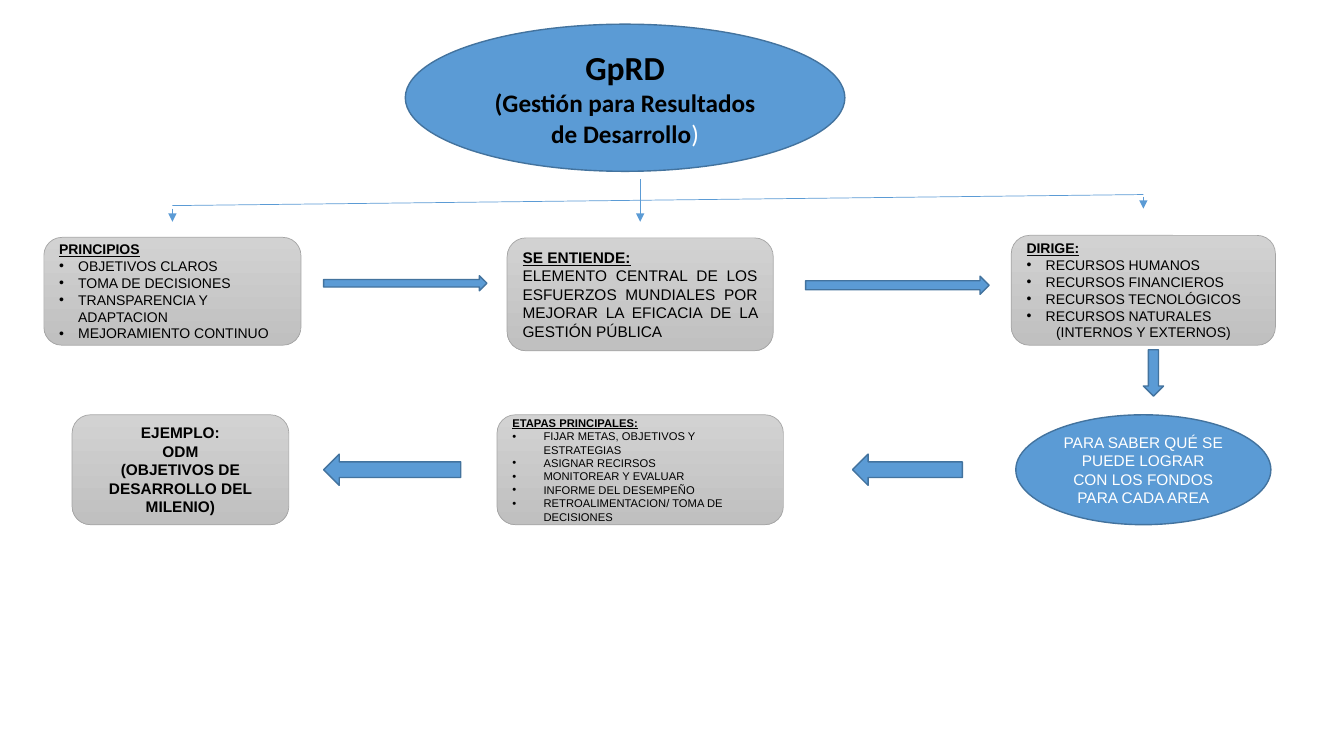
import pptx
import pptx.dml.color
import pptx.enum.shapes
import pptx.enum.text
import pptx.oxml.ns
import pptx.util
from lxml import etree

Inches, Pt = pptx.util.Inches, pptx.util.Pt
RGBColor = pptx.dml.color.RGBColor
Shapes = pptx.enum.shapes.MSO_SHAPE
Align = pptx.enum.text.PP_ALIGN
qn = pptx.oxml.ns.qn

COLORS = {"blue": "5B9BD5", "blue edge": "43739E", "gray top": "D2D2D2",
          "gray bottom": "C0C0C0", "gray edge": "A5A5A5",
          "black": "000000", "white": "FFFFFF"}

# Grid: centres of the columns and rows, in inches
COLUMNS = {"left": 1.71, "left gap": 4.02, "middle": 6.35,
           "right gap": 8.9, "right": 11.34}
ROWS = {"title": 0.97, "branches": 2.2, "top": 2.89, "between": 3.7, "bottom": 4.66}

presentation = pptx.Presentation()
presentation.slide_width = Inches(13.33)
presentation.slide_height = Inches(7.5)
slide = presentation.slides.add_slide(presentation.slide_layouts[6])


def color(name):
    return RGBColor.from_string(COLORS[name])


def add_part(kind, column, row, width, height, shift=(0, 0)):
    """Add a shape centred on a grid cell, moved by a small shift."""
    left = COLUMNS[column] + shift[0] - width / 2
    top = ROWS[row] + shift[1] - height / 2
    shape = slide.shapes.add_shape(kind, Inches(left), Inches(top),
                                   Inches(width), Inches(height))
    shape.shadow.inherit = False
    if kind == Shapes.ROUNDED_RECTANGLE:
        shape.fill.gradient()
        shape.fill.gradient_angle = 270
        for stop, name in zip(shape.fill.gradient_stops, ("gray top", "gray bottom")):
            stop.color.rgb = color(name)
        shape.line.color.rgb = color("gray edge")
        shape.line.width = Pt(0.5)
    else:
        shape.fill.solid()
        shape.fill.fore_color.rgb = color("blue")
        shape.line.color.rgb = color("blue edge")
        shape.line.width = Pt(1)
    return shape


# Title ellipse
title = add_part(Shapes.OVAL, "middle", "title", 4.36, 1.46, (-0.15, 0))
title.text_frame.text = "GpRD\n(Gestión para Resultados de Desarrollo"
title.text_frame.paragraphs[1].add_run().text = ")"
for paragraph, size in zip(title.text_frame.paragraphs, (24, 18)):
    paragraph.alignment = Align.CENTER
    for run in paragraph.runs:
        closing = run.text == ")"
        run.font.name = "Calibri"
        run.font.size = Pt(size)
        run.font.bold = not closing
        run.font.color.rgb = color("white" if closing else "black")

# Concept boxes: kind, column, row, width, height, shift, size, text colour,
# alignment, bullet indent, heading lines, body lines, closing lines
BOX, OVAL = Shapes.ROUNDED_RECTANGLE, Shapes.OVAL
concepts = [
    (BOX, "left", "top", 2.55, 1.07, (0, 0), 10, "black", Align.LEFT, 0.19,
     ["PRINCIPIOS"],
     ["OBJETIVOS CLAROS", "TOMA DE DECISIONES", "TRANSPARENCIA Y ADAPTACION",
      "MEJORAMIENTO CONTINUO"], []),
    (BOX, "middle", "top", 2.64, 1.12, (0, 0.03), 11, "black", Align.JUSTIFY, 0,
     ["SE ENTIENDE:"],
     ["ELEMENTO CENTRAL DE LOS ESFUERZOS MUNDIALES POR MEJORAR LA EFICACIA "
      "DE LA GESTIÓN PÚBLICA"], []),
    (BOX, "right", "top", 2.62, 1.09, (0, -0.01), 10, "black", Align.LEFT, 0.19,
     ["DIRIGE:"],
     ["RECURSOS HUMANOS", "RECURSOS FINANCIEROS", "RECURSOS TECNOLÓGICOS",
      "RECURSOS NATURALES"], ["(INTERNOS Y EXTERNOS)"]),
    (OVAL, "right", "bottom", 2.53, 1.09, (0, 0), 11, "white", Align.CENTER, 0, [],
     ["PARA SABER QUÉ SE PUEDE LOGRAR CON LOS FONDOS PARA CADA AREA"], []),
    (BOX, "middle", "bottom", 2.84, 1.09, (0, 0), 8, "black", Align.LEFT, 0.31,
     ["ETAPAS PRINCIPALES:"],
     ["FIJAR METAS, OBJETIVOS Y ESTRATEGIAS", "ASIGNAR RECIRSOS",
      "MONITOREAR Y EVALUAR", "INFORME DEL DESEMPEÑO",
      "RETROALIMENTACION/ TOMA DE DECISIONES"], []),
    (BOX, "left", "bottom", 2.15, 1.09, (0.08, 0), 11, "black", Align.CENTER, 0,
     ["EJEMPLO:", "ODM", "(OBJETIVOS DE DESARROLLO DEL MILENIO)"], [], []),
]
for (kind, column, row, width, height, shift, size, text_color, alignment,
     indent, heading, body, closing) in concepts:
    shape = add_part(kind, column, row, width, height, shift)
    shape.text_frame.text = "\n".join(heading + body + closing)
    body_end = len(heading) + len(body)
    for index, paragraph in enumerate(shape.text_frame.paragraphs):
        is_heading = index < len(heading)
        paragraph.alignment = Align.CENTER if index >= body_end else alignment
        if indent and len(heading) <= index < body_end:
            properties = paragraph._p.get_or_add_pPr()
            properties.set("marL", str(Inches(indent)))
            properties.set("indent", str(-Inches(indent)))
            etree.SubElement(properties, qn("a:buFont")).set("typeface", "Arial")
            etree.SubElement(properties, qn("a:buChar")).set("char", "•")
        for run in paragraph.runs:
            run.font.name = "Arial"
            run.font.size = Pt(size)
            run.font.bold = is_heading
            run.font.underline = is_heading and bool(body)
            run.font.color.rgb = color(text_color)

# Block arrows between the concepts
for kind, column, row, width, height, shift in [
    (Shapes.RIGHT_ARROW, "right gap", "top", 1.82, 0.18, (0, -0.06)),
    (Shapes.RIGHT_ARROW, "left gap", "top", 1.62, 0.15, (0, -0.08)),
    (Shapes.DOWN_ARROW, "right", "between", 0.2, 0.46, (0.1, 0)),
    (Shapes.LEFT_ARROW, "right gap", "bottom", 1.09, 0.31, (0.1, 0)),
    (Shapes.LEFT_ARROW, "left gap", "bottom", 1.36, 0.31, (-0.13, 0)),
]:
    add_part(kind, column, row, width, height, shift)

# Thin branches from the title: start, end, arrowhead
left, middle, right = (COLUMNS[name] for name in ("left", "middle", "right"))
tip = ROWS["branches"]
for start, end, has_head in [
    ((left, tip - 0.16), (right, tip - 0.27), False),
    ((right, tip - 0.25), (right, tip - 0.13), True),
    ((left, tip - 0.13), (left, tip), True),
    ((middle, tip - 0.21), (middle, tip), True),
    ((middle, tip - 0.21), (middle, tip - 0.42), False),
]:
    connector = slide.shapes.add_connector(
        pptx.enum.shapes.MSO_CONNECTOR.STRAIGHT,
        *(Inches(length) for length in start + end))
    connector.line.color.rgb = color("blue")
    connector.line.width = Pt(0.5)
    if has_head:
        line = connector.line._get_or_add_ln()
        etree.SubElement(line, qn("a:tailEnd")).set("type", "triangle")
    etree.SubElement(connector._element.spPr, qn("a:effectLst"))

presentation.save("out.pptx")
